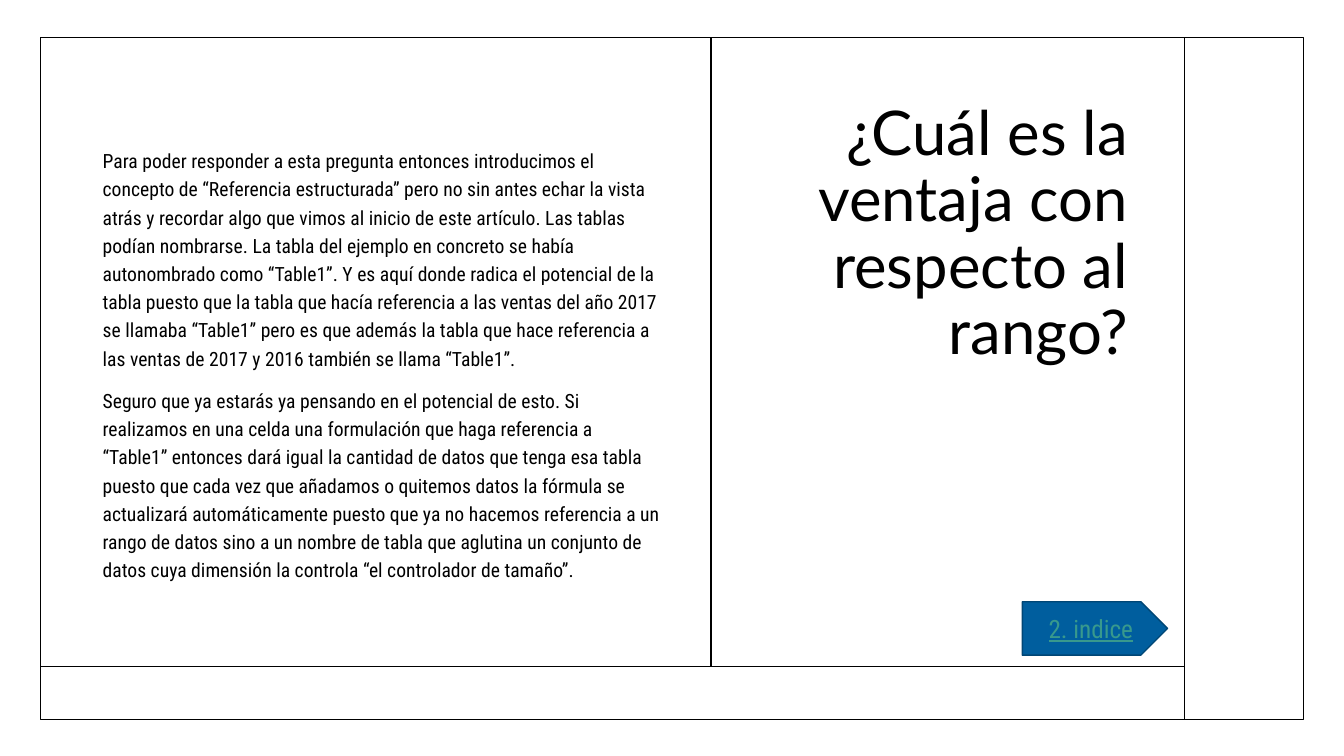
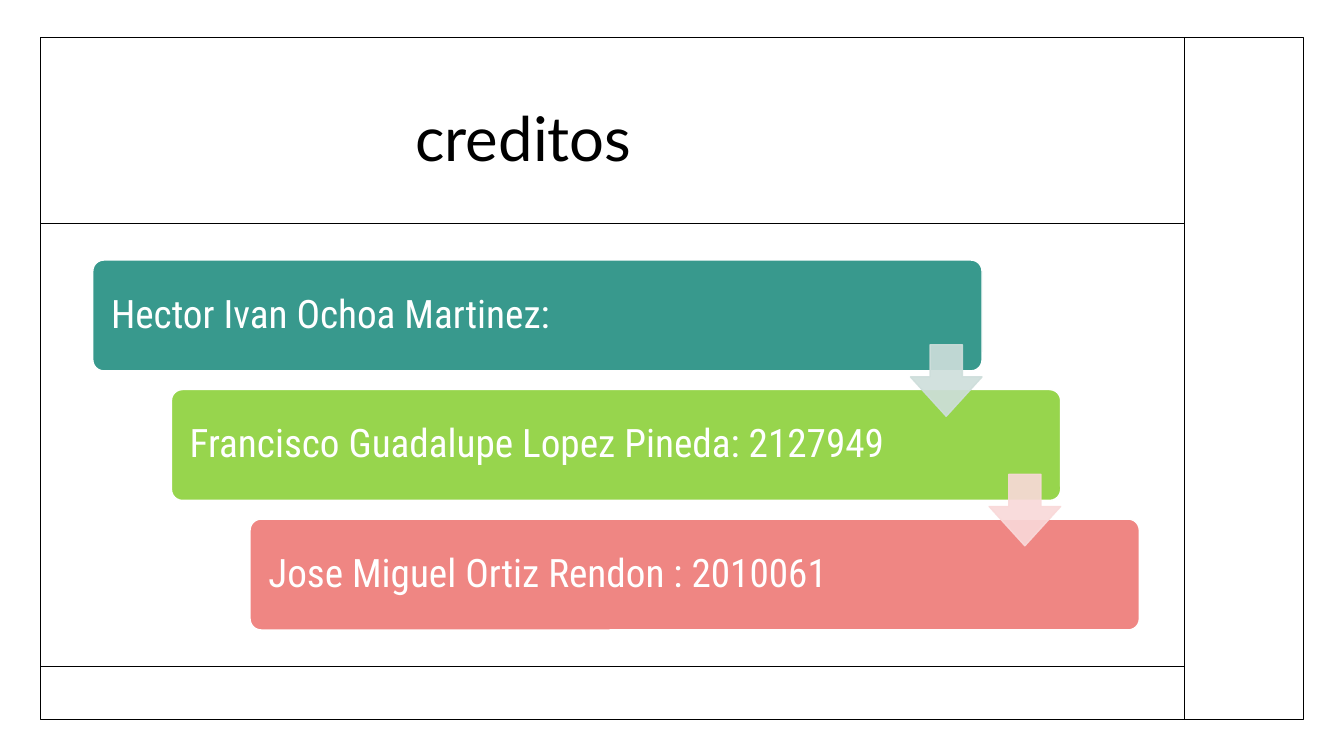
from dataclasses import dataclass

from lxml.etree import SubElement
from pptx import Presentation
from pptx.dml.color import RGBColor as Color
from pptx.enum.shapes import MSO_CONNECTOR as Connector, MSO_SHAPE as Preset
from pptx.enum.text import MSO_ANCHOR as Anchor, MSO_AUTO_SIZE as AutoSize, PP_ALIGN as Align
from pptx.oxml.ns import qn
from pptx.util import Inches, Pt


@dataclass(frozen=True)
class Theme:
    black: str = "000000"
    white: str = "FFFFFF"
    teal: str = "38998D"
    green: str = "97D54D"
    coral: str = "EF8683"
    pale_teal: str = "CEDEDB"
    pale_coral: str = "F9D9D9"
    blue: str = "005E9E"
    dark_blue: str = "004675"
    title_font: str = "Lato"
    body_font: str = "Roboto Condensed"
    title_size: int = 44
    card_size: int = 28
    button_size: int = 18
    body_size: int = 14


theme = Theme()


def write_text(shape, *lines, font=theme.body_font, size=theme.body_size, color=theme.black,
               align=Align.LEFT, anchor=Anchor.TOP, spacing=1.0, before=0, left=0.1,
               underline=False):
    frame = shape.text_frame
    frame.word_wrap = True
    frame.auto_size = AutoSize.NONE
    frame.vertical_anchor = anchor
    frame.margin_left = Inches(left)
    for index, line in enumerate(lines):
        paragraph = frame.add_paragraph() if index else frame.paragraphs[0]
        paragraph.alignment = align
        paragraph.line_spacing = spacing
        paragraph.space_before = Pt(before)
        run = paragraph.add_run()
        run.text = line
        run.font.name = font
        run.font.size = Pt(size)
        run.font.underline = underline
        run.font.color.rgb = Color.from_string(color)


def draw_shape(slide, preset, box, fill=None, line=theme.black, adjustments=(), opacity=None):
    shape = slide.shapes.add_shape(preset, *map(Inches, box))
    shape.shadow.inherit = False
    if fill:
        shape.fill.solid()
        shape.fill.fore_color.rgb = Color.from_string(fill)
    else:
        shape.fill.background()
    shape.line.color.rgb = Color.from_string(line)
    shape.line.width = Pt(1)
    for index, value in enumerate(adjustments):
        shape.adjustments[index] = value
    if opacity:
        for color in shape._element.spPr.iter(qn("a:srgbClr")):
            SubElement(color, qn("a:alpha")).set("val", str(opacity * 1000))
    return shape


presentation = Presentation()
presentation.slide_width = Inches(13.33)
presentation.slide_height = Inches(7.5)
title_only = presentation.slide_layouts[5]

frame_left, frame_top, frame_width, frame_height = 0.4, 0.37, 12.53, 6.77
side_rule, bottom_rule = 11.75, 6.61
shared_rules = [
    (frame_left, bottom_rule, side_rule, bottom_rule),
    (side_rule, frame_top, side_rule, frame_top + frame_height),
]

pages = [
    ("¿Cuál es la ventaja con respecto al rango?", (7.44, 0.96, 3.85, 5.12),
     {"align": Align.RIGHT}, (7.05, frame_top, 7.05, bottom_rule)),
    ("creditos", (0.92, 0.89, 10.38, 1.02),
     {"anchor": Anchor.MIDDLE, "left": 3.2}, (frame_left, 2.22, side_rule, 2.22)),
]

for heading, title_box, title_format, divider in pages:
    slide = presentation.slides.add_slide(title_only)
    draw_shape(slide, Preset.RECTANGLE, (frame_left, frame_top, frame_width, frame_height))
    title = slide.shapes.title
    title.left, title.top, title.width, title.height = map(Inches, title_box)
    write_text(title, heading, font=theme.title_font, size=theme.title_size, spacing=0.9,
               **title_format)
    for rule in [divider, *shared_rules]:
        connector = slide.shapes.add_connector(Connector.STRAIGHT, *map(Inches, rule))
        connector.line.color.rgb = Color.from_string(theme.black)
        connector.line.width = Pt(1)
        SubElement(connector._element.spPr, qn("a:effectLst"))

question_slide, credits_slide = presentation.slides

body = question_slide.shapes.add_textbox(*map(Inches, (0.92, 0.92, 5.73, 4.9)))
write_text(
    body,
    "Para poder responder a esta pregunta entonces introducimos el concepto de “Referencia "
    "estructurada” pero no sin antes echar la vista atrás y recordar algo que vimos al inicio "
    "de este artículo. Las tablas podían nombrarse. La tabla del ejemplo en concreto se había "
    "autonombrado como “Table1”. Y es aquí donde radica el potencial de la tabla puesto que la "
    "tabla que hacía referencia a las ventas del año 2017 se llamaba “Table1” pero es que "
    "además la tabla que hace referencia a las ventas de 2017 y 2016 también se llama “Table1”.",
    "Seguro que ya estarás ya pensando en el potencial de esto. Si realizamos en una celda una "
    "formulación que haga referencia a “Table1” entonces dará igual la cantidad de datos que "
    "tenga esa tabla puesto que cada vez que añadamos o quitemos datos la fórmula se "
    "actualizará automáticamente puesto que ya no hacemos referencia a un rango de datos sino "
    "a un nombre de tabla que aglutina un conjunto de datos cuya dimensión la controla “el "
    "controlador de tamaño”.",
    anchor=Anchor.BOTTOM, spacing=1.2, before=10,
)

button = draw_shape(question_slide, Preset.PENTAGON, (10.14, 5.97, 1.44, 0.53),
                    fill=theme.blue, line=theme.dark_blue)
write_text(button, "2. indice", size=theme.button_size, color=theme.teal, align=Align.CENTER,
           anchor=Anchor.MIDDLE, left=0.15, underline=True)

step_x, step_y = 0.78, 1.285
cards = [
    ("Hector Ivan Ochoa Martinez:", theme.teal),
    ("Francisco Guadalupe Lopez Pineda: 2127949", theme.green),
    ("Jose Miguel Ortiz Rendon : 2010061", theme.coral),
]
for index, (name, fill) in enumerate(cards):
    card = draw_shape(credits_slide, Preset.ROUNDED_RECTANGLE,
                      (0.92 + index * step_x, 2.58 + index * step_y, 8.82, 1.1),
                      fill=fill, line=theme.white, adjustments=[0.1])
    write_text(card, name, size=theme.card_size, color=theme.white, anchor=Anchor.MIDDLE,
               spacing=0.9, left=0.15)

for index, color in enumerate([theme.pale_teal, theme.pale_coral]):
    draw_shape(credits_slide, Preset.DOWN_ARROW,
               (9.03 + index * step_x, 3.42 + index * step_y, 0.71, 0.71),
               fill=color, line=color, adjustments=[0.45, 0.55], opacity=90)

presentation.save("out.pptx")
